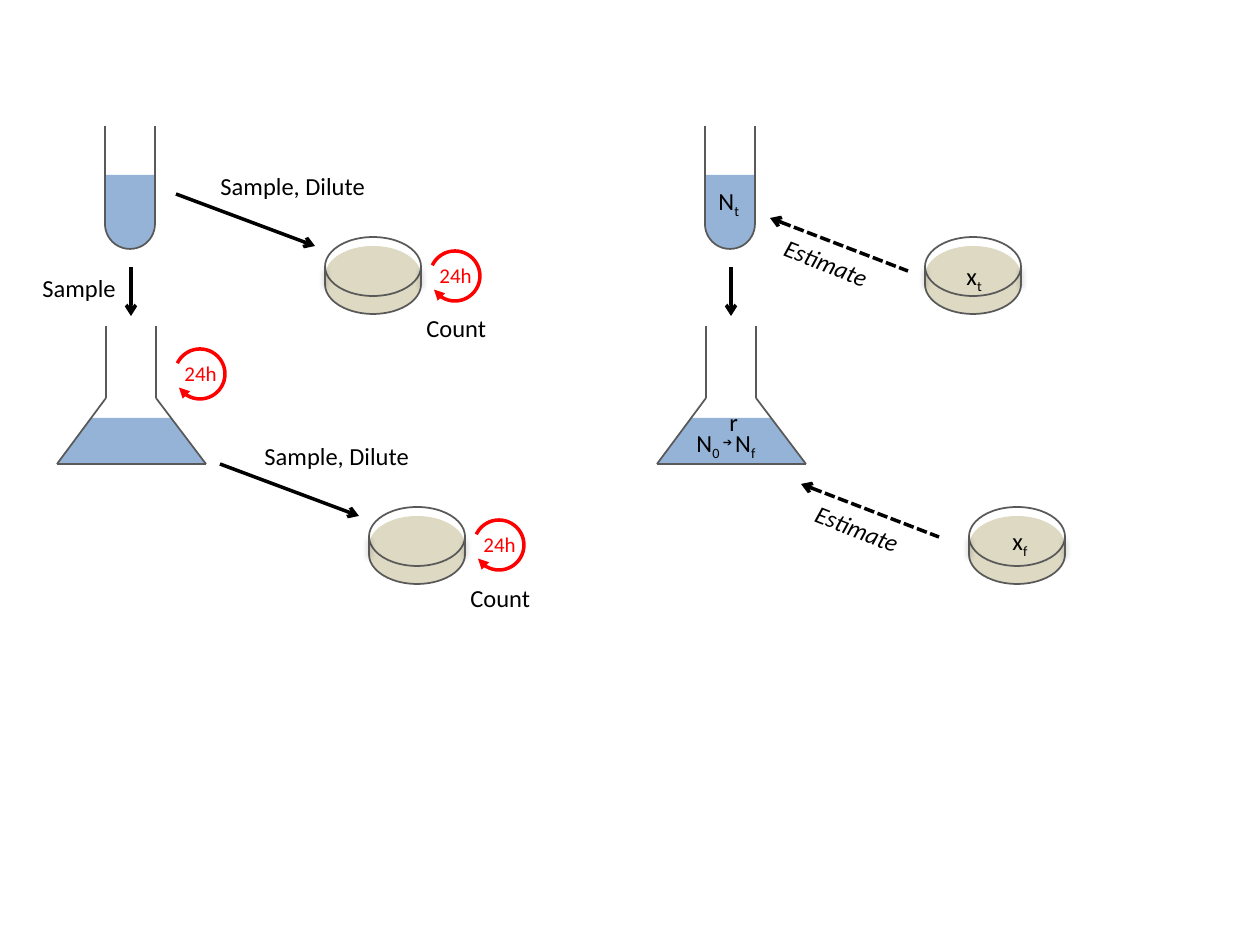
from lxml import etree
from pptx import Presentation
from pptx.dml.color import RGBColor
from pptx.enum.dml import MSO_LINE
from pptx.enum.shapes import MSO_CONNECTOR, MSO_SHAPE
from pptx.enum.text import MSO_AUTO_SIZE
from pptx.oxml.ns import qn
from pptx.util import Emu, Pt

ELLIPSE, RECT, ARC = MSO_SHAPE.OVAL, MSO_SHAPE.RECTANGLE, MSO_SHAPE.ARC
TRAPEZOID = MSO_SHAPE.TRAPEZOID
STRAIGHT = MSO_CONNECTOR.STRAIGHT
DASH = MSO_LINE.SQUARE_DOT
FIT = MSO_AUTO_SIZE.SHAPE_TO_FIT_TEXT

BLACK = RGBColor(0x00, 0x00, 0x00)
GRAY = RGBColor(0x59, 0x59, 0x59)
BLUE = RGBColor(0x95, 0xB3, 0xD7)
AGAR = RGBColor(0xDD, 0xD9, 0xC3)
RED = RGBColor(0xFF, 0x00, 0x00)

PX = 914400 / 126

prs = Presentation()
prs.slide_width, prs.slide_height = Emu(round(1260 * PX)), Emu(round(945 * PX))
slide = prs.slides.add_slide(prs.slide_layouts[6])


def text(runs, x, y, w, h=43, size=14, color=BLACK, italic=False, rotation=0):
    """Each run is (text, baseline percent, optional size, optional font)."""
    sp = slide.shapes.add_textbox(*(Emu(round(v * PX)) for v in (x, y, w, h)))
    sp.rotation = rotation
    tf = sp.text_frame
    tf.word_wrap = False
    tf.auto_size = FIT
    p = tf.paragraphs[0]
    for content, baseline, *own in [(runs, 0)] if isinstance(runs, str) else runs:
        r = p.add_run()
        r.text = content
        r.font.size = Pt(own[0] if own else size)
        r.font.name = own[1] if own else "Calibri"
        r.font.italic = italic
        r.font.color.rgb = color
        if baseline:
            r.font._element.set("baseline", str(baseline * 1000))


def line(x1, y1, x2, y2, color=GRAY, width=1, end=None, dash=None, shadow=False):
    """end is headEnd or tailEnd, the end that carries an arrow."""
    ends = (Emu(round(v * PX)) for v in (x1, y1, x2, y2))
    cxn = slide.shapes.add_connector(STRAIGHT, *ends)
    cxn.line.color.rgb = color
    cxn.line.width = Pt(width)
    if dash:
        cxn.line.dash_style = dash
    spPr = cxn._element.spPr
    if end:
        etree.SubElement(spPr.find(qn("a:ln")), qn("a:" + end), type="arrow")
    effects = etree.SubElement(spPr, qn("a:effectLst"))
    if shadow:
        outer = etree.SubElement(effects, qn("a:outerShdw"), blurRad="40000",
                                 dist="20000", dir="5400000", rotWithShape="0")
        black = etree.SubElement(outer, qn("a:srgbClr"), val="000000")
        etree.SubElement(black, qn("a:alpha"), val="38000")


# Layout: two panels, with plating steps and dishes at a fixed offset
PANELS = (0, 600)
STEPS = ((0, 0), (44, 270))
DISHES = [(325 + dx + sx, 237 + sy) for dx in PANELS for sx, sy in STEPS]
CLOCKS = ((430, 251), (474, 520), (175, 349))

# Filled shapes and arcs: kind, box, fill, line, line width, adjustments
shapes = []
for dx in PANELS:
    shapes += [
        (ELLIPSE, (105 + dx, 199, 50, 50), BLUE, None, 0, ()),
        (RECT, (105 + dx, 175, 50, 50), BLUE, None, 0, ()),
        (ARC, (105 + dx, 199, 50, 50), None, GRAY, 1, (213.25, 108.69)),
        (TRAPEZOID, (57 + dx, 418, 149, 46), BLUE, None, 0, (0.75,)),
    ]
for x, y in DISHES:
    shapes += [
        (ELLIPSE, (x, y + 18, 96, 59), AGAR, GRAY, 1, ()),
        (ELLIPSE, (x, y + 9, 96, 59), AGAR, None, 0, ()),
        (ELLIPSE, (x, y, 96, 59), None, GRAY, 1, ()),
    ]
for x, y in CLOCKS:
    shapes.append((ARC, (x, y, 50, 50), None, RED, 2, (123.15, 88.26)))

for kind, box, fill, color, width, adjustments in shapes:
    sp = slide.shapes.add_shape(kind, *(Emu(round(v * PX)) for v in box))
    sp.shadow.inherit = False
    for i, value in enumerate(adjustments):
        sp.adjustments[i] = value
    if fill:
        sp.fill.solid()
        sp.fill.fore_color.rgb = fill
    else:
        sp.fill.background()
    if color:
        sp.line.color.rgb = color
        sp.line.width = Pt(width)
    else:
        sp.line.fill.background()
    if color == RED:
        ln = sp._element.spPr.find(qn("a:ln"))
        etree.SubElement(ln, qn("a:tailEnd"), type="triangle")

# Tube walls, flask outline and the arrow between them
for dx in PANELS:
    for x in (105, 155):
        line(x + dx, 224, x + dx, 126)
    for x in (106, 156):
        line(x + dx, 398, x + dx, 326)
    line(206 + dx, 464, 156 + dx, 398)
    line(206 + dx, 464, 57 + dx, 464)
    line(57 + dx, 464, 106 + dx, 398)
    line(131 + dx, 267, 131 + dx, 316, BLACK, 2, "tailEnd")

# Dish walls
for x, y in DISHES:
    for wall in (x, x + 96):
        line(wall, y + 30, wall, y + 48, shadow=True)

# Left panel: sampling, plating and counting
text("Sample", 30, 267, 100)
for dx, dy in STEPS:
    line(176 + dx, 194 + dy, 315 + dx, 246 + dy, BLACK, 2, "tailEnd")
    text("Sample, Dilute", 208 + dx, 165 + dy, 173)
    text("Count", 414 + dx, 307 + dy, 86)
for x, y in CLOCKS:
    text("24h", x - 3, y + 5, 58, 38, size=12, color=RED)

# Right panel: estimates and symbols
for x, y in ((770, 218), (801, 484)):
    line(x, y, x + 138, y + 53, BLACK, 2, "headEnd", DASH)
    text("Estimate", x, y + 25, 120, italic=True, rotation=21.6)
text([("N", 0), ("t", -25)], 706, 180, 47)
text([("x", 0), ("t", -25)], 954, 255, 42)
text([("x", 0), ("f", -25)], 1000, 520, 42)
text([("N", 0), ("0 ", -25), ("➔", 30, 11, "Arial"), (" ", 30), ("N", 0), ("f", -25)],
     684, 422, 95)
text("r", 717, 401, 34)

prs.save("out.pptx")
